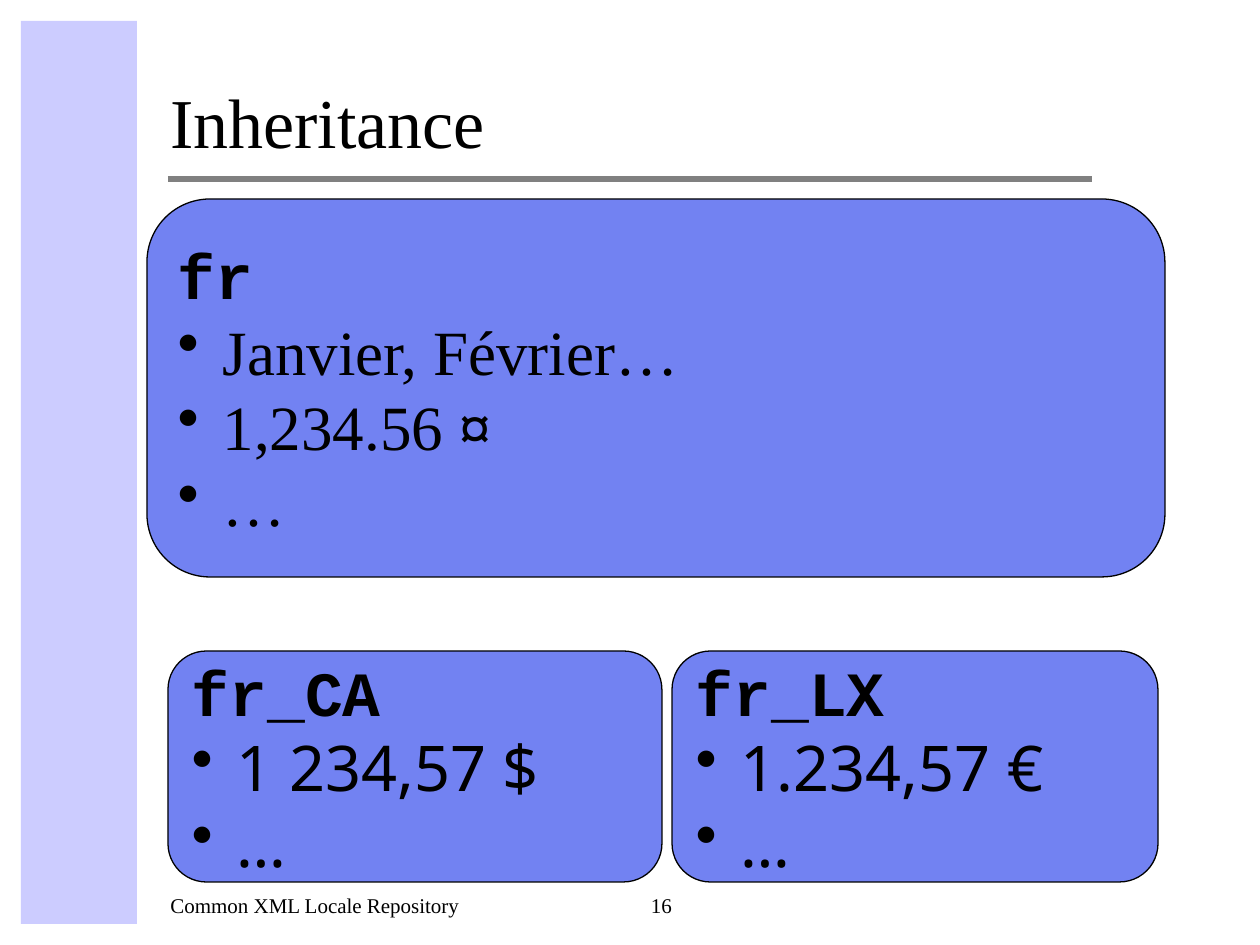
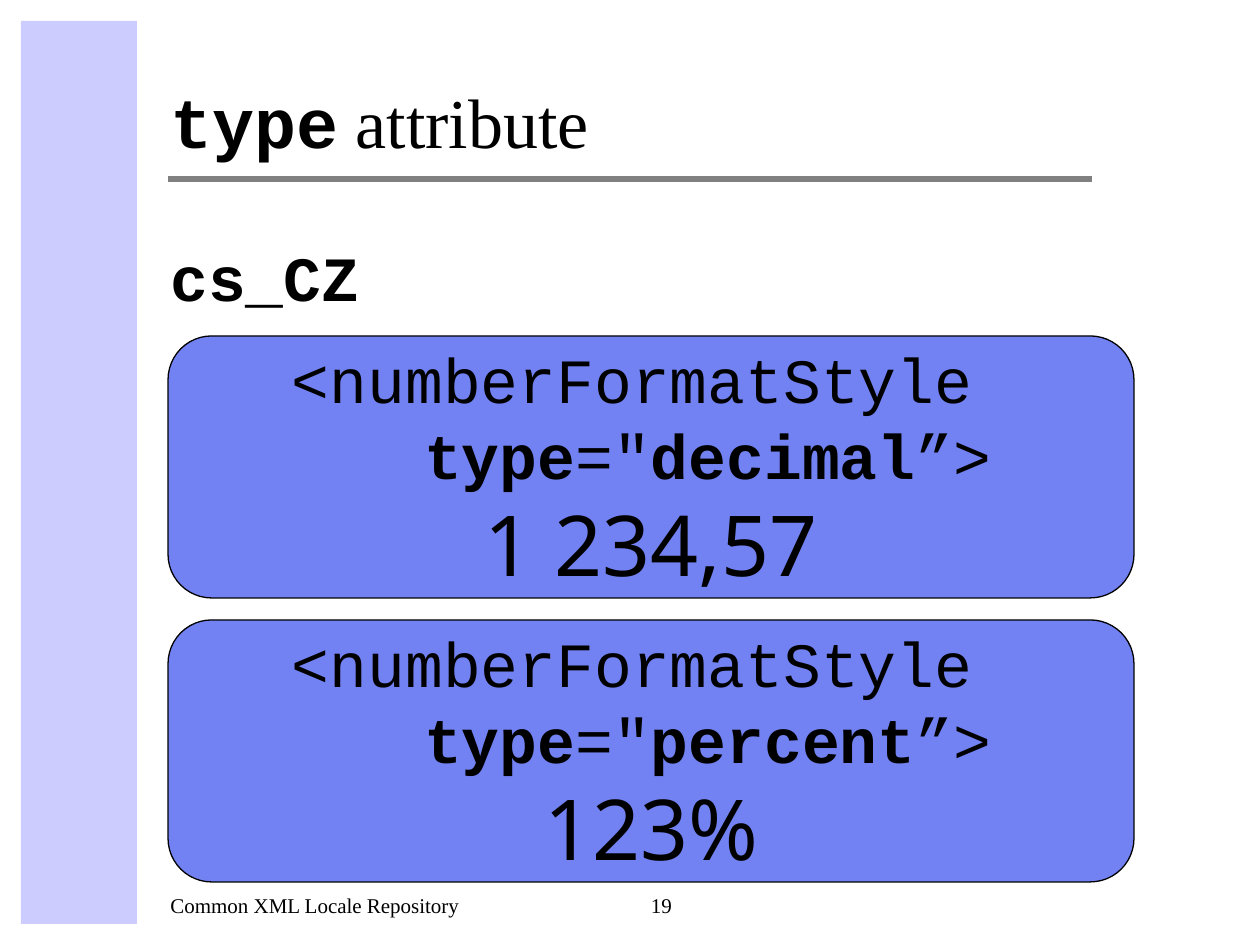
from lxml import etree
from pptx import Presentation
from pptx.dml.color import RGBColor
from pptx.enum import shapes, text
from pptx.oxml.ns import qn
from pptx.util import Emu, Pt

# Content: a *starred* stretch is bold
SERIF, MONO, SANS = "Times New Roman", "Courier New", "Noto Sans"
FOOTER = "Common XML Locale Repository"

INHERITANCE = {
    "title": [("Inheritance", SERIF)],
    "page": 16,
    # locale, (left, top, width, height), bullet font, bullets
    "locales": [
        ("fr", (147, 199, 1018, 378), SERIF,
         ["Janvier, Février…", "1,234.56 *¤*", "…"]),
        ("fr_CA", (168, 651, 494, 231), SANS, ["1 234,57 $", "…"]),
        ("fr_LX", (672, 651, 486, 231), SANS, ["1.234,57 €", "…"]),
    ],
}
TYPE_ATTRIBUTE = {
    "title": [("*type*", MONO), (" attribute", SERIF)],
    "page": 19,
    "locale": "cs_CZ",
    "styles": [("decimal", "1 234,57"), ("percent", "123%")],
}

# Shared look
COLORS = {"band": "CCCCFF", "rule": "808080", "card": "7282F2", "ink": "000000"}
TITLE_SIZE, BODY_SIZE, SAMPLE_SIZE, FOOTER_SIZE = 40, 36, 48, 12
BULLET_INDENT = 45
CARD_LEFT, CARD_TOP, CARD_WIDTH, CARD_HEIGHT, CARD_GAP = 168, 336, 966, 262, 22
LEFT, CENTER = text.PP_ALIGN.LEFT, text.PP_ALIGN.CENTER
TOP, BOTTOM = text.MSO_ANCHOR.TOP, text.MSO_ANCHOR.BOTTOM


def px(n):
    return Emu(round(n * 914400 / 126))


def color(name):
    return RGBColor.from_string(COLORS[name])


def add_runs(paragraph, marked, font=None):
    for i, part in enumerate(marked.split("*")):
        if part:
            run = paragraph.add_run()
            run.text = part
            if i % 2:
                run.font.bold = True
            if font:
                run.font.name = font


def write(frame, lines, align=LEFT):
    """Fill a frame with (marked text, font, size, bulleted) lines."""
    for i, (marked, font, size, bulleted) in enumerate(lines):
        paragraph = frame.paragraphs[0] if i == 0 else frame.add_paragraph()
        paragraph.alignment = align
        if bulleted:
            props = paragraph._p.get_or_add_pPr()
            props.set("marL", str(px(BULLET_INDENT)))
            props.set("indent", str(-px(BULLET_INDENT)))
            etree.SubElement(props, qn("a:buChar")).set("char", "•")
        paragraph.font.name = font
        paragraph.font.size = Pt(size)
        paragraph.font.color.rgb = color("ink")
        add_runs(paragraph, marked)


def add_label(slide, box, lines, align=LEFT, anchor=BOTTOM):
    frame = slide.shapes.add_textbox(*map(px, box)).text_frame
    frame.word_wrap = True
    frame.vertical_anchor = anchor
    write(frame, lines, align)
    return frame


def add_card(slide, box, lines, align=LEFT):
    card = slide.shapes.add_shape(
        shapes.MSO_SHAPE.ROUNDED_RECTANGLE, *map(px, box))
    card.shadow.inherit = False
    card.fill.solid()
    card.fill.fore_color.rgb = color("card")
    card.line.color.rgb = color("ink")
    card.line.width = Pt(0.75)
    card.text_frame.word_wrap = False
    card.text_frame.vertical_anchor = text.MSO_ANCHOR.MIDDLE
    write(card.text_frame, lines, align)


def add_base(prs, content):
    """A slide with side band, title, rule and footer."""
    slide = prs.slides.add_slide(prs.slide_layouts[6])
    band = slide.shapes.add_shape(
        shapes.MSO_SHAPE.RECTANGLE, *map(px, (21, 21, 116, 903)))
    band.shadow.inherit = False
    band.fill.solid()
    band.fill.fore_color.rgb = color("band")
    band.line.fill.background()

    rule = slide.shapes.add_connector(
        shapes.MSO_CONNECTOR.STRAIGHT, *map(px, (168, 179, 1092, 179)))
    rule.line.color.rgb = color("rule")
    rule.line.width = Pt(3)
    etree.SubElement(rule._element.spPr, qn("a:effectLst"))

    title = add_label(slide, (158, 21, 934, 148), [("", SERIF, TITLE_SIZE, False)])
    for marked, font in content["title"]:
        add_runs(title.paragraphs[0], marked, font)

    add_label(slide, (158, 861, 462, 63), [(FOOTER, SERIF, FOOTER_SIZE, False)])
    add_label(slide, (630, 861, 63, 63),
              [(str(content["page"]), SERIF, FOOTER_SIZE, False)], CENTER)
    return slide


def build_inheritance(prs):
    slide = add_base(prs, INHERITANCE)
    for locale, box, font, bullets in INHERITANCE["locales"]:
        lines = [(f"*{locale}*", MONO, BODY_SIZE, False)]
        lines += [(bullet, font, BODY_SIZE, True) for bullet in bullets]
        add_card(slide, box, lines)


def build_type_attribute(prs):
    slide = add_base(prs, TYPE_ATTRIBUTE)
    add_label(slide, (158, 232, 1061, 88),
              [(f"*{TYPE_ATTRIBUTE['locale']}*", MONO, BODY_SIZE, False)], anchor=TOP)
    for i, (style, sample) in enumerate(TYPE_ATTRIBUTE["styles"]):
        top = CARD_TOP + i * (CARD_HEIGHT + CARD_GAP)
        add_card(slide, (CARD_LEFT, top, CARD_WIDTH, CARD_HEIGHT), [
            ("<numberFormatStyle ", MONO, BODY_SIZE, False),
            (f'   *type*="*{style}*”>', MONO, BODY_SIZE, False),
            (sample, SANS, SAMPLE_SIZE, False),
        ], CENTER)


def main():
    prs = Presentation()
    prs.slide_width, prs.slide_height = px(1260), px(945)
    build_inheritance(prs)
    build_type_attribute(prs)
    prs.save("out.pptx")


if __name__ == "__main__":
    main()
